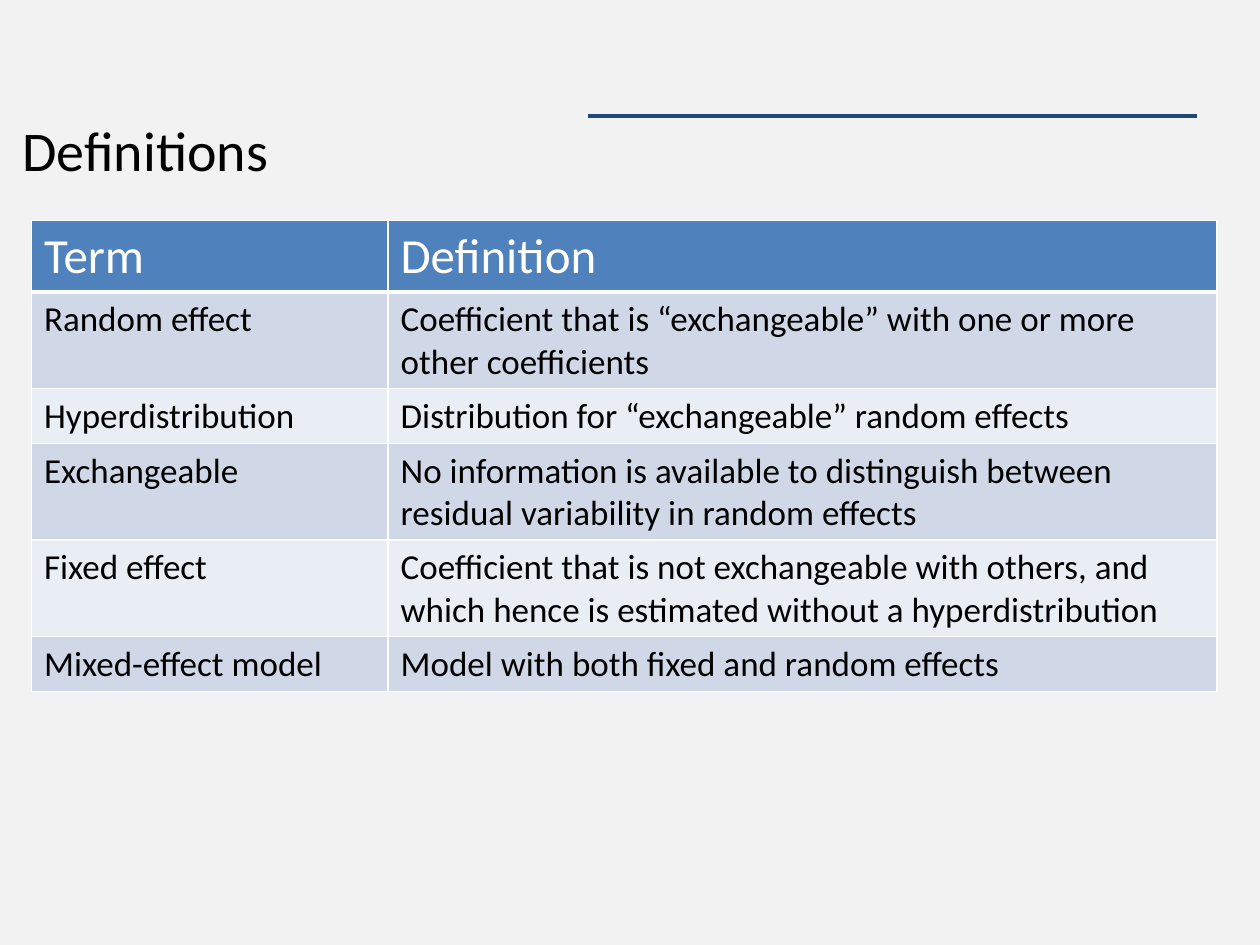
from pptx import Presentation
from pptx.dml.color import RGBColor
from pptx.enum import shapes
from pptx.oxml import parse_xml
from pptx.oxml.ns import nsdecls
from pptx.util import Inches, Pt


def color(value):
    return RGBColor.from_string(value)


def style_text(paragraph, size, value):
    font = paragraph.runs[0].font
    font.name, font.size, font.bold = "Calibri", Pt(size), False
    font.color.rgb = color(value)


prs = Presentation()
prs.slide_width, prs.slide_height = Inches(10), Inches(7.5)
slide = prs.slides.add_slide(prs.slide_layouts[6])
slide.background.fill.solid()
slide.background.fill.fore_color.rgb = color("F2F2F2")

# Rule above the heading
rule = slide.shapes.add_connector(
    shapes.MSO_CONNECTOR.STRAIGHT, Inches(4.67), Inches(0.92), Inches(9.5), Inches(0.92))
rule.line.color.rgb = color("1F497D")
rule.line.width = Pt(2)
rule._element.spPr.append(parse_xml(f"<a:effectLst {nsdecls('a')}/>"))

# Heading
body = slide.shapes.add_textbox(Inches(0.08), Inches(0.92), Inches(9.83), Inches(6.5))
body.text_frame.word_wrap = True
body.text_frame.margin_top = 0
heading = body.text_frame.paragraphs[0]
heading.text = "Definitions"
heading.space_before = heading.space_after = Pt(6)
style_text(heading, 32, "000000")

# Table of definitions
entries = [
    ("Term", "Definition"),
    ("Random effect",
     "Coefficient that is “exchangeable” with one or more other coefficients"),
    ("Hyperdistribution", "Distribution for “exchangeable” random effects"),
    ("Exchangeable",
     "No information is available to distinguish between residual variability in random effects"),
    ("Fixed effect",
     "Coefficient that is not exchangeable with others, and which hence is estimated "
     "without a hyperdistribution"),
    ("Mixed-effect model", "Model with both fixed and random effects"),
]
column_widths = (2.83, 6.58)
row_height = 0.41
definitions = slide.shapes.add_table(
    len(entries), len(column_widths), Inches(0.25), Inches(1.75),
    Inches(sum(column_widths)), Inches(row_height * len(entries))).table
definitions.first_row = definitions.horz_banding = False
for column, width in zip(definitions.columns, column_widths):
    column.width = Inches(width)

for r, entry in enumerate(entries):
    definitions.rows[r].height = Inches(row_height)
    is_header = r == 0
    fill = "4F81BD" if is_header else ("E9EDF4", "D0D8E8")[r % 2]
    for c, wording in enumerate(entry):
        cell = definitions.cell(r, c)
        cell.text_frame.text = wording
        style_text(cell.text_frame.paragraphs[0], 28 if is_header else 20,
                   "FFFFFF" if is_header else "000000")
        # White borders come before the fill in the cell properties
        properties = cell._tc.get_or_add_tcPr()
        for side in "LRTB":
            weight = Pt(3 if is_header and side == "B" else 1)
            properties.append(parse_xml(
                f'<a:ln{side} {nsdecls("a")} w="{weight}"><a:solidFill>'
                f'<a:srgbClr val="FFFFFF"/></a:solidFill></a:ln{side}>'))
        cell.fill.solid()
        cell.fill.fore_color.rgb = color(fill)

prs.save("out.pptx")
